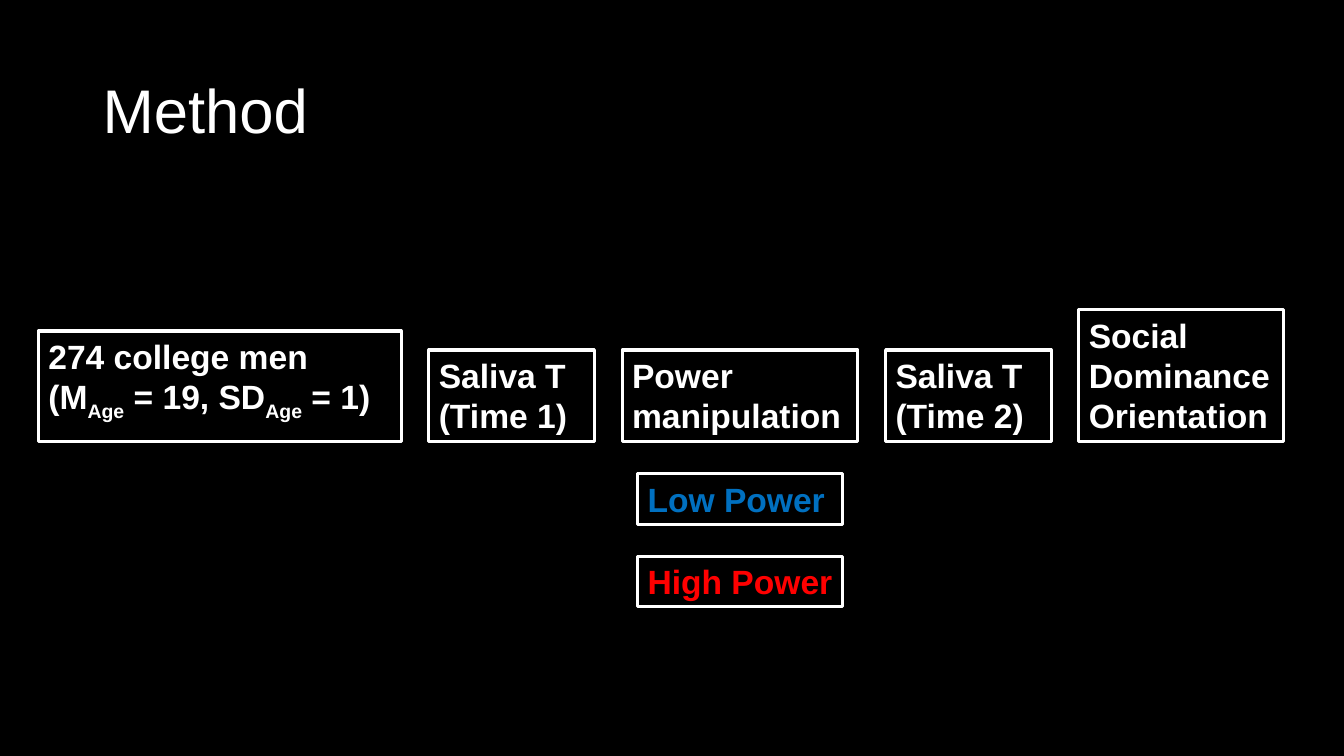
from dataclasses import dataclass

import pptx
import pptx.dml.color
import pptx.enum.text
import pptx.util
from pptx.util import Cm

COLORS = {"background": "000000", "white": "FFFFFF", "low": "0070C0", "high": "FF0000"}
FONT = "Arial"
FLOW_LEFT, FLOW_BOTTOM, FLOW_GAP = 0.97, 11.13, 0.7
LEVEL_TOP, LEVEL_STEP = 11.94, 2.08
LEVEL_WIDTH, LEVEL_HEIGHT = 5.16, 1.27


@dataclass
class Box:
    lines: list[str]
    width: float
    height: float
    color: str = "white"


STEPS = [
    Box(["274 college men", "(M_Age_ = 19, SD_Age_ = 1)"], 9.14, 2.79),
    Box(["Saliva T", "(Time 1)"], 4.17, 2.31),
    Box(["Power manipulation"], 5.94, 2.31),
    Box(["Saliva T (Time 2)"], 4.17, 2.31),
    Box(["Social Dominance Orientation"], 5.16, 3.33),
]
MANIPULATION = 2
LEVELS = [
    Box(["Low Power"], LEVEL_WIDTH, LEVEL_HEIGHT, "low"),
    Box(["High Power"], LEVEL_WIDTH, LEVEL_HEIGHT, "high"),
]


def rgb(name: str) -> pptx.dml.color.RGBColor:
    return pptx.dml.color.RGBColor.from_string(COLORS[name])


def add_text(p, text: str, *, size: float, color: str = "white", bold: bool = False) -> None:
    """Add runs to a paragraph; parts between underscores become subscripts."""
    p.alignment = pptx.enum.text.PP_ALIGN.LEFT
    for i, part in enumerate(text.split("_")):
        r = p.add_run()
        r.text = part
        r.font.name = FONT
        r.font.size = pptx.util.Pt(size)
        r.font.bold = bold
        r.font.color.rgb = rgb(color)
        if i % 2:
            r._r.get_or_add_rPr().set("baseline", "-25000")


def add_box(slide, box: Box, left: float, top: float) -> None:
    sp = slide.shapes.add_textbox(Cm(left), Cm(top), Cm(box.width), Cm(box.height))
    sp.line.color.rgb = rgb("white")
    sp.line.width = pptx.util.Pt(2.25)
    tf = sp.text_frame
    tf.word_wrap = True
    tf.auto_size = pptx.enum.text.MSO_AUTO_SIZE.SHAPE_TO_FIT_TEXT
    for i, line in enumerate(box.lines):
        p = tf.add_paragraph() if i else tf.paragraphs[0]
        add_text(p, line, size=24, color=box.color, bold=True)


def add_title(slide, text: str) -> None:
    sp = slide.shapes.title
    sp.left, sp.top, sp.width, sp.height = Cm(2.33), Cm(1.02), Cm(29.21), Cm(3.68)
    tf = sp.text_frame
    tf.vertical_anchor = pptx.enum.text.MSO_ANCHOR.MIDDLE
    p = tf.paragraphs[0]
    p.line_spacing = 0.9
    add_text(p, text, size=44)


def main() -> None:
    prs = pptx.Presentation()
    prs.slide_width, prs.slide_height = Cm(33.87), Cm(19.05)
    slide = prs.slides.add_slide(prs.slide_layouts.get_by_name("Title Only"))
    slide.background.fill.solid()
    slide.background.fill.fore_color.rgb = rgb("background")
    add_title(slide, "Method")

    left = FLOW_LEFT
    lefts = []
    for step in STEPS:
        add_box(slide, step, left, FLOW_BOTTOM - step.height)
        lefts.append(left)
        left += step.width + FLOW_GAP

    center = lefts[MANIPULATION] + STEPS[MANIPULATION].width / 2
    for i, level in enumerate(LEVELS):
        add_box(slide, level, center - level.width / 2, LEVEL_TOP + i * LEVEL_STEP)

    prs.save("out.pptx")


if __name__ == "__main__":
    main()
